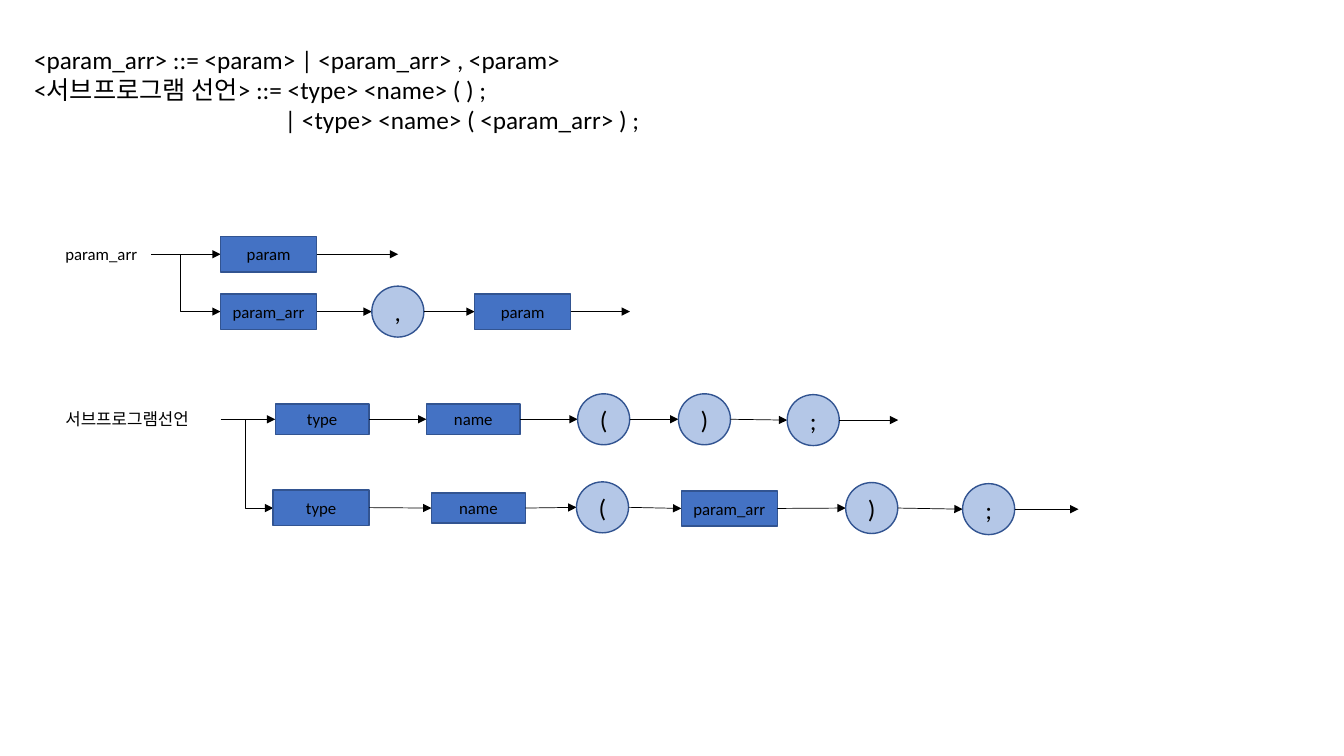
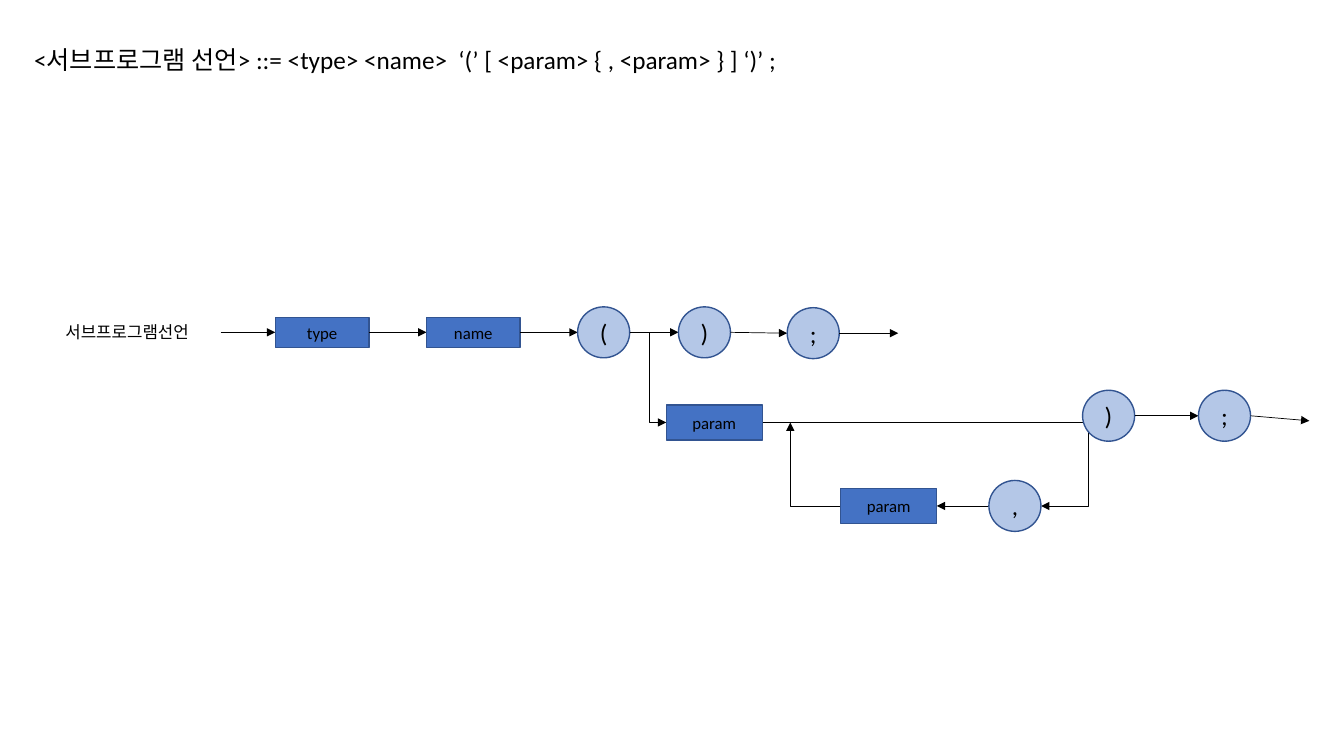
import dataclasses

import lxml.etree
import pptx
import pptx.dml.color
import pptx.enum.shapes
import pptx.enum.text
import pptx.oxml.ns
import pptx.util

Pt = pptx.util.Pt
RGB = pptx.dml.color.RGBColor
SHAPE = pptx.enum.shapes.MSO_SHAPE
CONNECTOR = pptx.enum.shapes.MSO_CONNECTOR
qn = pptx.oxml.ns.qn


@dataclasses.dataclass(frozen=True)
class NodeStyle:
    shape: int
    width: float
    height: float
    fill: RGB
    size: float


@dataclasses.dataclass(frozen=True)
class Theme:
    font: str = "Calibri"
    ink: RGB = RGB(0x00, 0x00, 0x00)
    outline: RGB = RGB(0x32, 0x54, 0x91)
    rule_fill: RGB = RGB(0x44, 0x72, 0xC4)
    terminal_fill: RGB = RGB(0xB4, 0xC7, 0xE7)
    grammar_size: float = 18
    label_size: float = 12
    outline_width: float = 1
    arrow_width: float = 0.5


THEME = Theme()
TOKEN = NodeStyle(SHAPE.RECTANGLE, 67, 21.6, THEME.rule_fill, THEME.label_size)
RULE = NodeStyle(SHAPE.RECTANGLE, 68.6, 25.2, THEME.rule_fill, THEME.label_size)
TERMINAL = NodeStyle(SHAPE.OVAL, 37.2, 36.4, THEME.terminal_fill, THEME.grammar_size)
LEFT = 39.6
LABEL_HEIGHT = 21.6


def format_text(tf, size):
    for p in tf.paragraphs:
        for r in p.runs:
            r.font.name = THEME.font
            r.font.size = Pt(size)
            r.font.color.rgb = THEME.ink


def text_box(s, x, y, w, h, text, size):
    tf = s.shapes.add_textbox(Pt(x), Pt(y), Pt(w), Pt(h)).text_frame
    tf.word_wrap = True
    tf.text = text
    format_text(tf, size)
    return tf


def grammar(s, height, lines):
    return text_box(s, 17.3, 28, 790, height, "\n".join(lines), THEME.grammar_size)


def label(s, x, y, w, text):
    text_box(s, x, y - LABEL_HEIGHT / 2, w, LABEL_HEIGHT, text, THEME.label_size)


def arrow(s, x1, y1, x2, y2, kind=CONNECTOR.STRAIGHT):
    cxn = s.shapes.add_connector(kind, Pt(x1), Pt(y1), Pt(x2), Pt(y2))
    cxn.line.color.rgb = THEME.ink
    cxn.line.width = Pt(THEME.arrow_width)
    spPr = cxn._element.spPr
    lxml.etree.SubElement(spPr.find(qn("a:ln")), qn("a:tailEnd"), type="triangle")
    lxml.etree.SubElement(spPr, qn("a:effectLst"))
    return cxn


def elbow(s, x1, y1, x2, y2, rotation, flip=False):
    w, h = abs(x2 - x1), abs(y2 - y1)
    if rotation in (90, 270):
        w, h = h, w
    x, y = (x1 + x2 - w) / 2, (y1 + y2 - h) / 2
    spPr = arrow(s, x, y, x + w, y + h, CONNECTOR.ELBOW)._element.spPr
    spPr.find(qn("a:prstGeom")).set("prst", "bentConnector2")
    xfrm = spPr.find(qn("a:xfrm"))
    xfrm.set("rot", str(rotation * 60000))
    if flip:
        xfrm.set("flipH", "1")


def branch(s, x1, y1, x2, y2):
    elbow(s, x1, y1, x2, y2, 270, True)


def node(s, style, text, x, y):
    sp = s.shapes.add_shape(style.shape, Pt(x), Pt(y - style.height / 2),
                            Pt(style.width), Pt(style.height))
    sp.shadow.inherit = False
    sp.fill.solid()
    sp.fill.fore_color.rgb = style.fill
    sp.line.color.rgb = THEME.outline
    sp.line.width = Pt(THEME.outline_width)
    tf = sp.text_frame
    tf.text = text
    tf.vertical_anchor = pptx.enum.text.MSO_ANCHOR.MIDDLE
    tf.paragraphs[0].alignment = pptx.enum.text.PP_ALIGN.CENTER
    format_text(tf, style.size)


def chain(s, x, y, start, nodes, end):
    last = (x + start, y) if start is not None else None
    for style, text, dx, dy in nodes:
        if last:
            arrow(s, *last, x + dx, y + dy)
        node(s, style, text, x + dx, y + dy)
        last = (x + dx + style.width, y + dy)
    arrow(s, *last, x + end[0], y + end[1])


def param_arr_diagram(s, x, y):
    label(s, x, y, 68.4, "param_arr")
    chain(s, x, y, 68.4, [(RULE, "param", 118, 0)], (244.8, 0))
    branch(s, x + 89.3, y, x + 118, y + 41)
    chain(s, x, y + 41, None, [
        (RULE, "param_arr", 118, 0),
        (TERMINAL, ",", 226, 0),
        (RULE, "param", 299.5, 0),
    ], (410.4, 0))


def declaration(s, x, y):
    label(s, x, y, 118, "서브프로그램선언")
    chain(s, x, y, 118, [
        (TOKEN, "type", 157, 0),
        (TOKEN, "name", 265, 0),
        (TERMINAL, "(", 373, 0),
        (TERMINAL, ")", 445, 0),
        (TERMINAL, ";", 522.7, 0.6),
    ], (602, 0.6))


def array_branch(s, x, y):
    branch(s, x + 135.4, y, x + 155.5, y + 63.4)
    chain(s, x, y + 63.4, None, [
        (RULE, "type", 155.5, -0.3),
        (TOKEN, "name", 268.6, 0),
        (TERMINAL, "(", 372.2, -0.5),
        (RULE, "param_arr", 447.1, 0.3),
        (TERMINAL, ")", 564.5, 0),
        (TERMINAL, ";", 648, 0.8),
    ], (730.8, 0.8))


def repeat_branch(s, x, y):
    main_y, loop_y = y + 64.4, y + 124
    branch(s, x + 424.1, y, x + 436.3, main_y)
    arrow(s, x + 504.9, main_y, x + 760, main_y)
    elbow(s, x + 738, main_y, x + 704, loop_y, 90)
    arrow(s, x + 666.8, loop_y, x + 629.5, loop_y)
    elbow(s, x + 560.9, loop_y, x + 524.9, main_y, 180)
    node(s, RULE, "param", x + 436.3, main_y)
    node(s, TERMINAL, ",", x + 666.8, loop_y)
    node(s, RULE, "param", x + 560.9, loop_y)
    chain(s, x, y + 59.6, None, [
        (TERMINAL, ")", 733.7, 0),
        (TERMINAL, ";", 816.5, 0),
    ], (895.7, 3.6))


def bnf_slide(prs):
    s = prs.slides.add_slide(prs.slide_layouts[6])
    tf = grammar(s, 116.6, [
        "<param_arr> ::= <param> | <param_arr> , <param>",
        "<서브프로그램 선언> ::= <type> <name> ( ) ;",
        "| <type> <name> ( <param_arr> ) ;",
    ])
    tf.paragraphs[2]._p.get_or_add_pPr().set("marL", str(int(Pt(179))))
    param_arr_diagram(s, LEFT, 181.6)
    declaration(s, LEFT, 299.5)
    array_branch(s, LEFT, 299.5)


def ebnf_slide(prs):
    s = prs.slides.add_slide(prs.slide_layouts[6])
    grammar(s, 51, ["<서브프로그램 선언> ::= <type> <name>  ‘(’ [ <param> { , <param> } ] ‘)’ ;"])
    declaration(s, LEFT, 237.4)
    repeat_branch(s, LEFT, 237.4)


def main():
    prs = pptx.Presentation()
    prs.slide_width, prs.slide_height = Pt(960), Pt(540)
    bnf_slide(prs)
    ebnf_slide(prs)
    prs.save("out.pptx")


if __name__ == "__main__":
    main()
